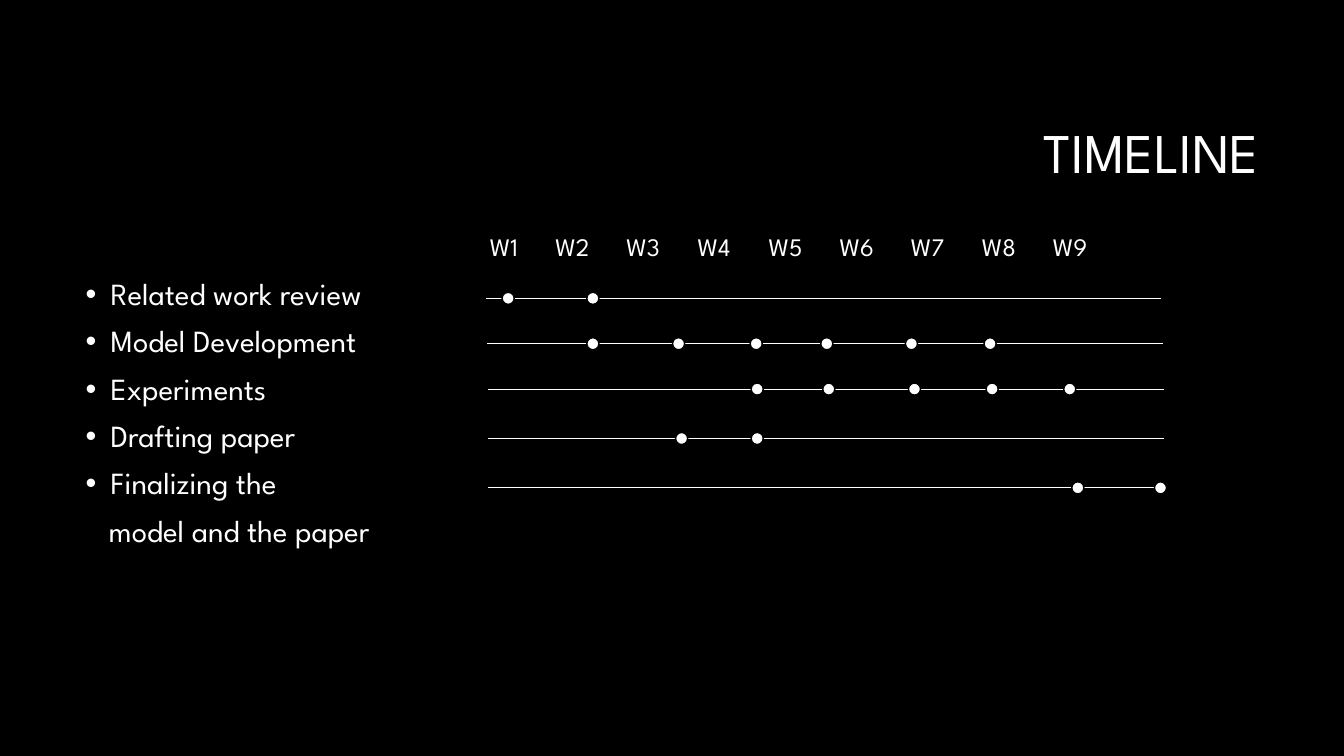
from lxml import etree
from pptx import Presentation
from pptx.dml.color import RGBColor
from pptx.enum import shapes, text
from pptx.oxml.ns import qn
from pptx.util import Inches, Pt

FONT, WHITE, BLACK = "League Spartan", "FFFFFF", "000000"
TITLE = "TIMELINE"
WEEKS = [f"W{n}" for n in range(1, 10)]
# Task, left end and height of its line, centres of its dots
TASKS = [
    ("Related work review", 4.82, 2.96, [5.04, 5.88]),
    ("Model Development", 4.83, 3.41, [5.88, 6.73, 7.5, 8.2, 9.04, 9.82]),
    ("Experiments", 4.84, 3.86, [7.51, 8.22, 9.07, 9.84, 10.61]),
    ("Drafting paper", 4.84, 4.35, [6.76, 7.51]),
    ("Finalizing the", 4.84, 4.84, [10.69, 11.51]),
]
LAST_TASK_CONTINUED = "model and the paper"
LINE_LENGTH, DOT = 6.7, 0.12
FIRST_TAB, WEEK_STEP = 0.65, 0.705


def color(value):
    return RGBColor.from_string(value)


def add_run(p, words, size):
    r = p.add_run()
    r.text = words
    r.font.size, r.font.name = Pt(size), FONT
    r.font.color.rgb = color(WHITE)


def add_text_box(s, *box):
    tf = s.shapes.add_textbox(*map(Inches, box)).text_frame
    tf.word_wrap = True
    return tf


def add_task(p, words, indent, bullet):
    p.line_spacing, p.space_before = 0.9, Pt(10)
    pPr = p._p.get_or_add_pPr()
    pPr.set("marL", str(Inches(indent)))
    if bullet:
        pPr.set("indent", str(-Inches(indent)))
        etree.SubElement(pPr, qn("a:buFont"), typeface="Arial")
        etree.SubElement(pPr, qn("a:buChar"), char="•")
    add_run(p, words, 22)


def add_title(s):
    title = s.shapes.title
    title.left, title.top, title.width, title.height = map(Inches, (3.17, 0.84, 9.42, 1.41))
    tf = title.text_frame
    tf.vertical_anchor = text.MSO_ANCHOR.MIDDLE
    p = tf.paragraphs[0]
    p.alignment, p.line_spacing = text.PP_ALIGN.RIGHT, 0.9
    add_run(p, TITLE, 40)


def add_task_list(s):
    tf = add_text_box(s, 0.75, 2.72, 11.83, 4.4)
    for i, (name, *_) in enumerate(TASKS):
        p = tf.add_paragraph() if i else tf.paragraphs[0]
        add_task(p, name, 0.25, True)
    add_task(tf.add_paragraph(), LAST_TASK_CONTINUED, 0.23, False)


def add_weeks(s):
    p = add_text_box(s, 4.76, 2.25, 7.52, 0.4).paragraphs[0]
    tabs = etree.SubElement(p._p.get_or_add_pPr(), qn("a:tabLst"))
    for i in range(len(WEEKS) - 1):
        stop = Inches(FIRST_TAB + i * WEEK_STEP)
        etree.SubElement(tabs, qn("a:tab"), pos=str(stop), algn="l")
    add_run(p, "\t".join(WEEKS), 18)


def add_task_line(s, left, y):
    line = s.shapes.add_connector(
        shapes.MSO_CONNECTOR.STRAIGHT,
        Inches(left + LINE_LENGTH), Inches(y), Inches(left), Inches(y))
    line.line.color.rgb, line.line.width = color(WHITE), Pt(0.75)
    etree.SubElement(line._element.spPr, qn("a:effectLst"))


def add_dot(s, x, y):
    dot = s.shapes.add_shape(
        shapes.MSO_SHAPE.OVAL,
        Inches(x - DOT / 2), Inches(y - DOT / 2), Inches(DOT), Inches(DOT))
    dot.shadow.inherit = False
    dot.fill.solid()
    dot.fill.fore_color.rgb = color(WHITE)
    dot.line.color.rgb, dot.line.width = color(BLACK), Pt(1)


def main():
    prs = Presentation()
    prs.slide_width, prs.slide_height = Inches(13.33), Inches(7.5)
    s = prs.slides.add_slide(prs.slide_layouts[5])
    s.background.fill.solid()
    s.background.fill.fore_color.rgb = color(BLACK)

    add_title(s)
    add_task_list(s)
    add_weeks(s)
    for _, left, y, dots in TASKS:
        add_task_line(s, left, y)
        for x in dots:
            add_dot(s, x, y)
    prs.save("out.pptx")


if __name__ == "__main__":
    main()
